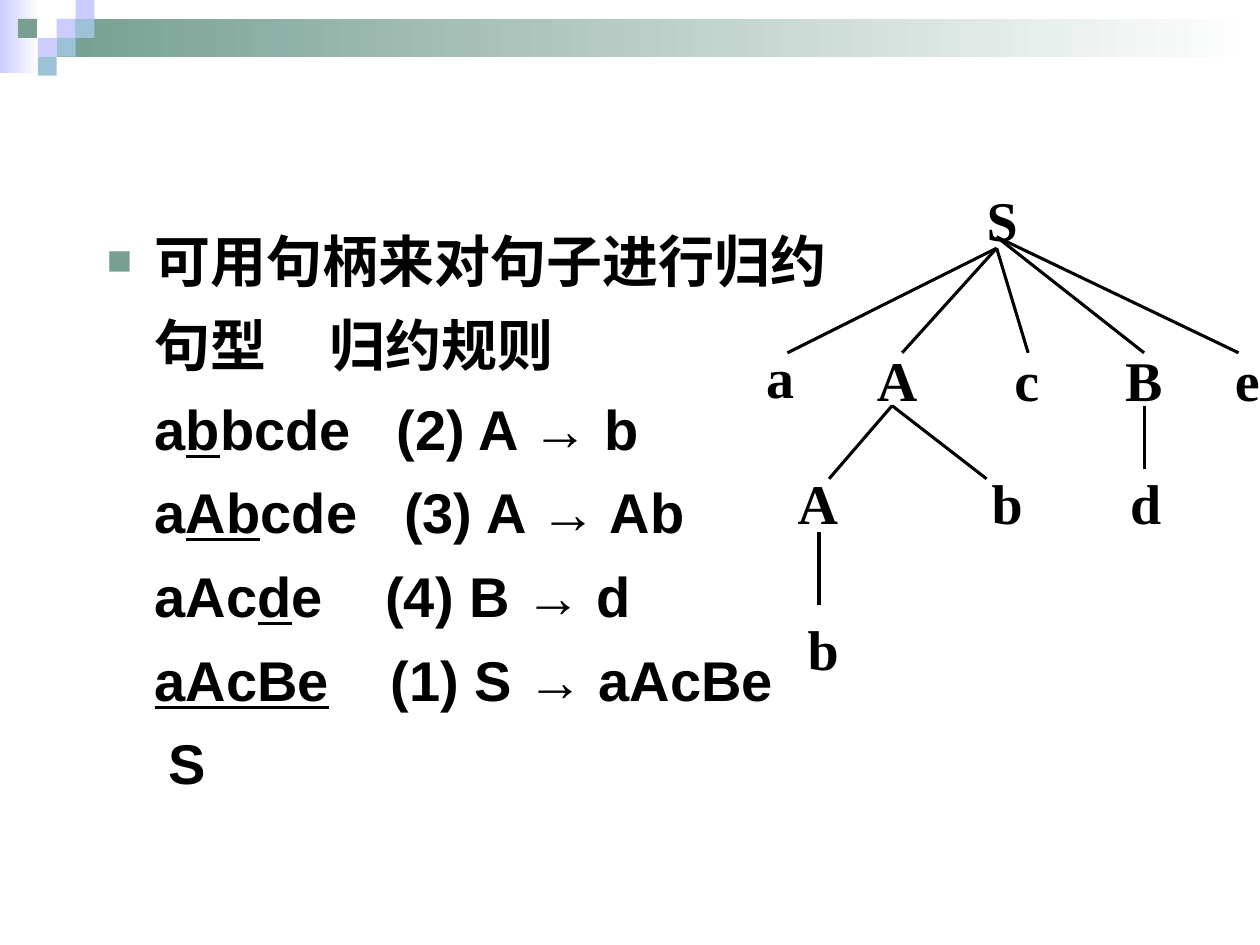
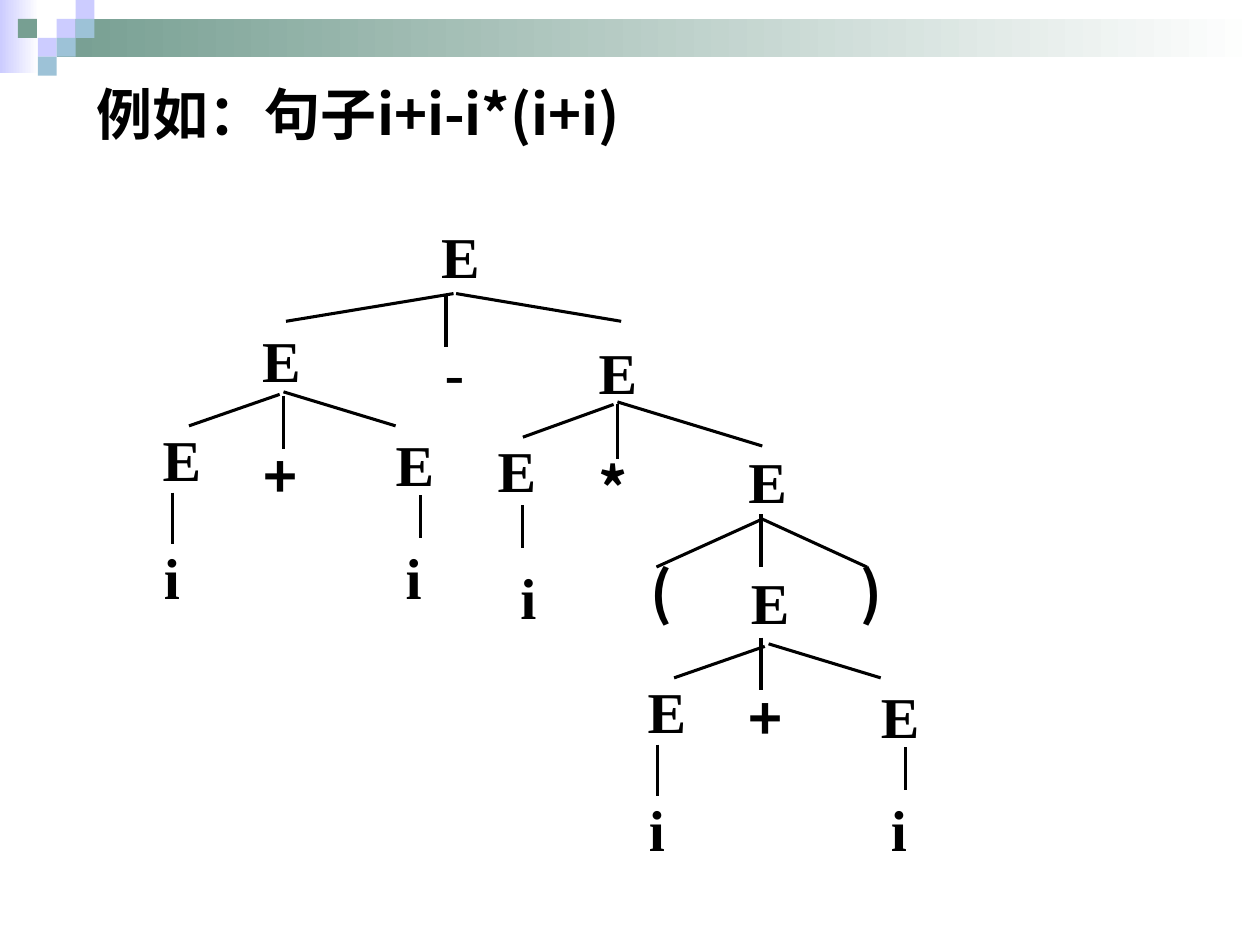
from lxml.etree import SubElement as Sub
from pptx import Presentation
from pptx.dml.color import RGBColor
from pptx.enum.shapes import MSO_CONNECTOR as LINE, MSO_SHAPE as SHAPE
from pptx.oxml.ns import qn
from pptx.util import Inches, Pt

BLACK, GREEN, LILAC, BLUE, WHITE = "000000", "779F92", "CCCCFF", "9DC2D7", "FFFFFF"
SANS, SERIF, CJK = "Arial", "Times New Roman", "Noto Sans CJK SC"
WIDTHS = {"A": 0.32, "B": 0.3, "S": 0.25, "E": 0.31, "a": 0.22, "b": 0.25,
          "c": 0.2, "d": 0.25, "e": 0.2, "i": 0.13, "+": 0.26, "*": 0.25,
          "-": 0.15, "(": 0.16, ")": 0.16}


def color(text):
    return RGBColor.from_string(text)


def add_rect(slide, left, top, width, height, *fills):
    """One fill is solid; two run from right to left."""
    rect = slide.shapes.add_shape(
        SHAPE.RECTANGLE, *map(Inches, (left, top, width, height)))
    rect.shadow.inherit = False
    rect.line.fill.background()
    if len(fills) == 1:
        rect.fill.solid()
        rect.fill.fore_color.rgb = color(fills[0])
        return
    rect.fill.gradient()
    rect.fill.gradient_angle = 180
    for stop, place, shade in zip(rect.fill.gradient_stops, (0, 1), fills):
        stop.position = place
        stop.color.rgb = color(shade)


def add_band(slide):
    add_rect(slide, 0, 0, 0.31, 0.58, WHITE, LILAC)
    add_rect(slide, 0.45, 0.15, 9.55, 0.3, WHITE, GREEN)
    side = 0.15
    for col, row, shade in ((3, 1, LILAC), (4, 0, LILAC), (4, 1, BLUE),
                            (2, 2, LILAC), (0.95, 1, GREEN), (3, 2, BLUE),
                            (2, 3, BLUE)):
        add_rect(slide, col * side, row * side, side, side, shade)


def add_box(slide, left, top, width, height):
    box = slide.shapes.add_textbox(*map(Inches, (left, top, width, height)))
    box.text_frame.word_wrap = True
    return box.text_frame


def add_run(para, text, size, face, under=None):
    run = para.add_run()
    run.text = text
    font = run.font
    font.size, font.name, font.bold, font.underline = Pt(size), face, True, under
    font.color.rgb = color(BLACK)


def set_tabs(para, *stops):
    tabs = Sub(para._p.get_or_add_pPr(), qn("a:tabLst"))
    for stop in stops:
        Sub(tabs, qn("a:tab"), pos=str(Inches(stop)), algn="l")


def set_bullet(para, hang):
    props = para._p.get_or_add_pPr()
    props.set("marL", str(Inches(hang)))
    props.set("indent", str(-Inches(hang)))
    Sub(Sub(props, qn("a:buClr")), qn("a:srgbClr"), val=GREEN)
    Sub(props, qn("a:buSzPct"), val="75000")
    Sub(props, qn("a:buFont"), typeface=SANS)
    Sub(props, qn("a:buChar"), char="■")


def add_steps(slide, left, top, width, height):
    """Each row: text before the handle, handle, text after, rule, rule stop."""
    hang = 0.38
    rows = (("句型", "", "", "归约规则", 1.77),
            ("a", "b", "bcde", "(2) A → b", 2.3),
            ("a", "Ab", "cde", "(3) A → Ab", 2.36),
            ("aAc", "d", "e", "(4) B → d", 2.21),
            ("", "aAcBe", "", "(1) S → aAcBe", 2.25))
    frame = add_box(slide, left, top, width, height)
    head = frame.paragraphs[0]
    set_bullet(head, hang)
    add_run(head, "可用句柄来对句子进行归约", 32, SANS)
    for before, handle, after, rule, stop in rows:
        para = frame.add_paragraph()
        para.space_before = Pt(9.4)
        set_tabs(para, hang, stop)
        add_run(para, "\t" + before, 32, SANS)
        if handle:
            add_run(para, handle, 32, SANS, True)
        add_run(para, after + "\t" + rule, 32, SANS)
    last = frame.add_paragraph()
    last.space_before = Pt(9.4)
    set_tabs(last, 0.49)
    add_run(last, "\tS", 32, SANS)


def add_title(slide, text):
    para = add_box(slide, 0.67, 0.58, 8.5, 0.83).paragraphs[0]
    add_run(para, text, 32, CJK)


def add_tree(slide, left, top, size, nodes, forks):
    """Nodes are (sign, x, y); forks are (x, y, feet), all from the corner."""
    for x, y, feet in forks:
        for foot_x, foot_y in feet:
            ends = (left + x, top + y, left + foot_x, top + foot_y)
            edge = slide.shapes.add_connector(LINE.STRAIGHT, *map(Inches, ends))
            edge.line.color.rgb = color(BLACK)
            edge.line.width = Pt(1.75)
            Sub(edge._element.spPr, qn("a:effectLst"))
    for sign, x, y in nodes:
        frame = add_box(slide, left + x, top + y, WIDTHS[sign], size / 60)
        frame.word_wrap = False
        frame.margin_left = frame.margin_right = 0
        frame.margin_top = frame.margin_bottom = 0
        face = CJK if sign in "()*+" else SERIF
        add_run(frame.paragraphs[0], sign, size, face)


def add_sum(slide, left, top, root_x, stem_x, lift):
    """The subtree of i+i; lift raises its root, sign and stem."""
    nodes = (("E", root_x, -lift), ("E", 0, 0.78), ("+", 0.8, 0.92 - lift),
             ("E", 1.85, 0.82), ("i", 0.01, 1.72), ("i", 1.93, 1.72))
    stem_y = 0.56 - lift
    forks = ((0.93, 0.55, [(0.21, 0.8)]), (0.96, 0.53, [(1.85, 0.8)]),
             (stem_x, stem_y, [(stem_x, stem_y + 0.42)]),
             (0.08, 1.33, [(0.08, 1.74)]), (2.05, 1.35, [(2.05, 1.69)]))
    add_tree(slide, left, top, 33, nodes, forks)


def build_steps(slide):
    add_band(slide)
    add_steps(slide, 0.75, 1.75, 8.5, 4.5)
    nodes = (("S", 1.75, 0), ("a", 0, 1.25), ("A", 0.88, 1.27),
             ("c", 1.97, 1.27), ("B", 2.85, 1.27), ("e", 3.72, 1.27),
             ("A", 0.25, 2.25), ("b", 1.79, 2.25), ("d", 2.89, 2.25),
             ("b", 0.33, 3.41))
    forks = ((1.83, 0.5, [(0.17, 1.33), (1.08, 1.33), (2.08, 1.33)]),
             (1.83, 0.41, [(3, 1.33), (3.75, 1.33)]),
             (1, 1.75, [(0.5, 2.33), (1.75, 2.33)]),
             (3, 1.75, [(3, 2.25)]), (0.42, 2.75, [(0.42, 3.33)]))
    add_tree(slide, 6.08, 1.47, 32, nodes, forks)


def build_parse(slide):
    add_band(slide)
    add_title(slide, "例如：句子i+i-i*(i+i)")
    nodes = (("E", 2.2, 0), ("-", 2.23, 0.92), ("E", 3.45, 0.92),
             ("E", 2.65, 1.7), ("*", 3.45, 1.84), ("E", 4.64, 1.79),
             ("i", 2.83, 2.71), ("(", 3.86, 2.67), (")", 5.53, 2.67))
    forks = ((2.3, 0.58, [(0.97, 0.8)]), (2.32, 0.58, [(3.63, 0.8)]),
             (2.24, 0.58, [(2.24, 1)]),
             (3.57, 1.46, [(2.85, 1.72)]), (3.6, 1.44, [(4.75, 1.79)]),
             (3.6, 1.46, [(3.6, 1.89)]), (2.85, 2.26, [(2.85, 2.6)]),
             (4.75, 2.37, [(3.91, 2.75), (5.58, 2.75)]),
             (4.74, 2.33, [(4.74, 2.75)]))
    add_tree(slide, 1.3, 1.75, 33, nodes, forks)
    add_sum(slide, 1.29, 2.58, 0.79, 0.96, 0)
    add_sum(slide, 5.14, 4.58, 0.82, 0.9, 0.08)


def main():
    deck = Presentation()
    deck.slide_width, deck.slide_height = Inches(10), Inches(7.5)
    for build in (build_steps, build_parse):
        build(deck.slides.add_slide(deck.slide_layouts[6]))
    deck.save("out.pptx")


if __name__ == "__main__":
    main()
